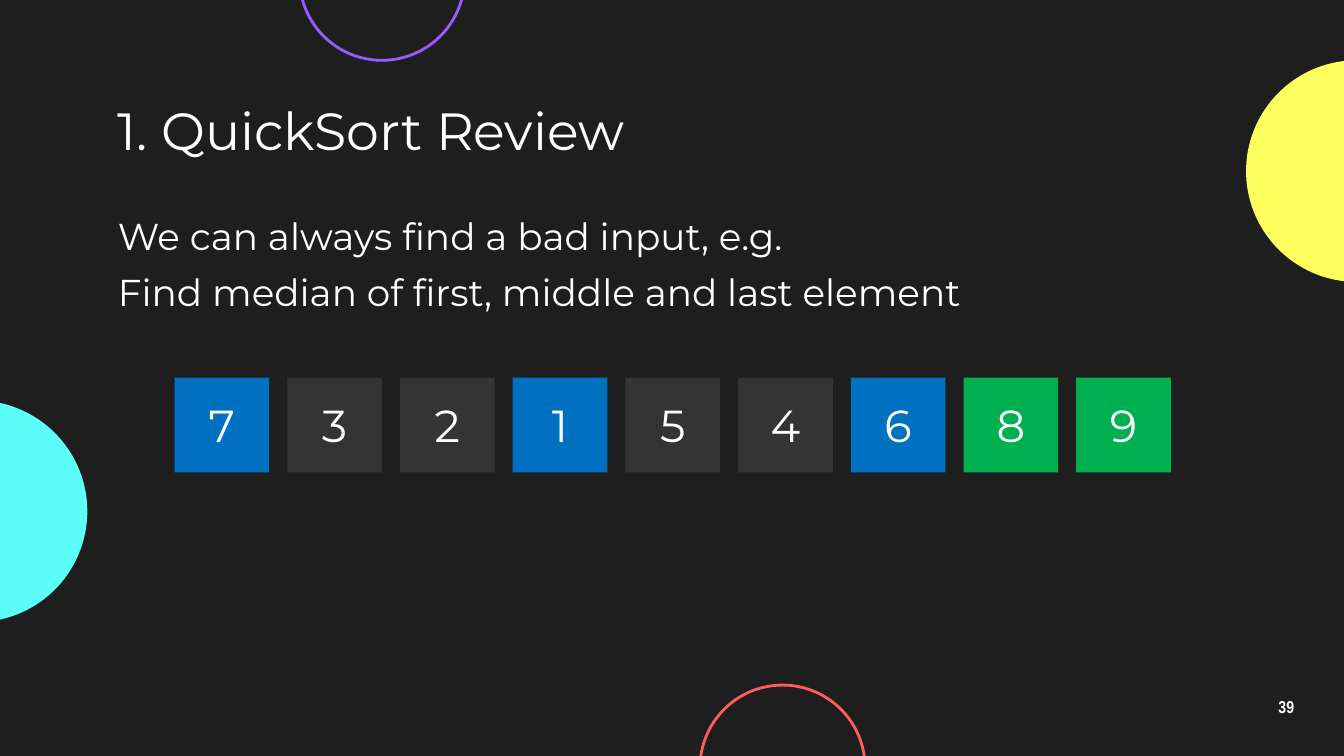
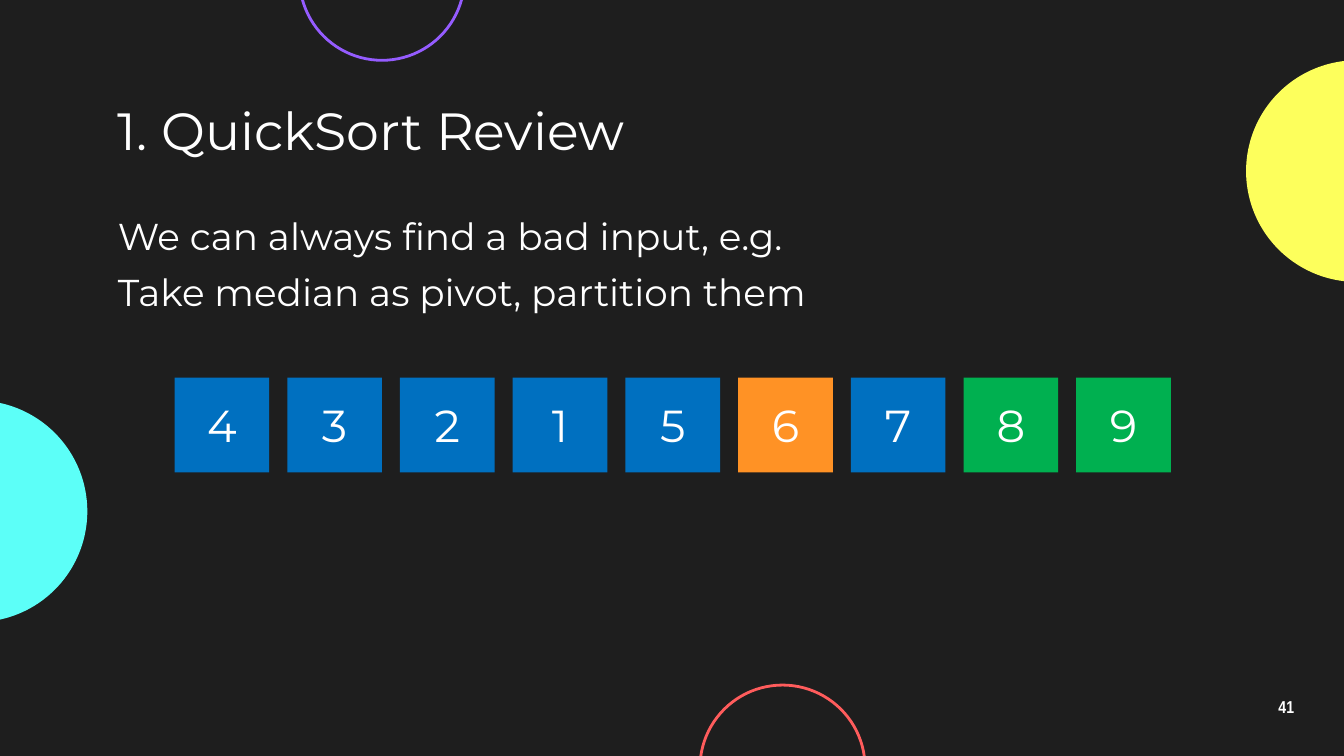
from pptx import Presentation
from pptx.dml.color import RGBColor
from pptx.enum.shapes import MSO_SHAPE as Shape
from pptx.enum.text import MSO_ANCHOR as Anchor, PP_ALIGN as Align
from pptx.util import Cm, Pt

BACKGROUND, WHITE = "1E1E1E", "FFFFFF"
GREY, BLUE, GREEN, ORANGE = "343434", "0070C0", "00B050", "FF9225"
FONT, NUMBER_FONT = "Montserrat", "Arial Narrow"

TITLE = "1. QuickSort Review"
INTRO = "We can always find a bad input, e.g."
STEPS = [
    {
        "page": 39,
        "action": "Find median of first, middle and last element",
        "values": [7, 3, 2, 1, 5, 4, 6, 8, 9],
        "colors": [BLUE, GREY, GREY, BLUE, GREY, GREY, BLUE, GREEN, GREEN],
    },
    {
        "page": 41,
        "action": "Take median as pivot, partition them",
        "values": [4, 3, 2, 1, 5, 6, 7, 8, 9],
        "colors": [BLUE] * 5 + [ORANGE, BLUE, GREEN, GREEN],
    },
]

# left, top, diameter in cm, fill, outline
CIRCLES = [
    (-2.54, 7.57, 4.19, "5CFFF8", None),
    (23.55, 1.14, 4.19, "FDFF5C", None),
    (5.66, -1.98, 3.12, None, "955CFF"),
    (13.23, 12.95, 3.12, None, "FF5C5C"),
]

MARGIN = 1.98
LINE_HEIGHT = 1.3
TILE_LEFT, TILE_TOP, TILE_SIZE, TILE_PITCH = 3.3, 7.14, 1.79, 2.13


def color(value):
    return RGBColor.from_string(value)


def write(target, text, size=20, font=FONT, bold=False, align=Align.LEFT,
          anchor=Anchor.TOP, spacing=1.0, inset=0.25):
    frame = target.text_frame
    frame.word_wrap = True
    frame.vertical_anchor = anchor
    frame.margin_left = frame.margin_right = Cm(inset)
    frame.margin_top = frame.margin_bottom = Cm(inset)
    paragraph = frame.paragraphs[0]
    paragraph.alignment = align
    paragraph.line_spacing = spacing
    run = paragraph.add_run()
    run.text = text
    run.font.name, run.font.size, run.font.bold = font, Pt(size), bold
    run.font.color.rgb = color(WHITE)


def add_text(slide, text, left, top, width, height=LINE_HEIGHT, **style):
    box = slide.shapes.add_textbox(Cm(left), Cm(top), Cm(width), Cm(height))
    write(box, text, **style)


def add_figure(slide, kind, left, top, size, fill=None, outline=None):
    """Add a preset shape that is as wide as it is high."""
    figure = slide.shapes.add_shape(kind, Cm(left), Cm(top), Cm(size), Cm(size))
    figure.shadow.inherit = False
    if fill:
        figure.fill.solid()
        figure.fill.fore_color.rgb = color(fill)
    else:
        figure.fill.background()
    if outline:
        figure.line.color.rgb = color(outline)
        figure.line.width = Pt(1.5)
    else:
        figure.line.fill.background()
    return figure


def add_frame(slide, page):
    """Add the background, circles, page number and title of every slide."""
    slide.background.fill.solid()
    slide.background.fill.fore_color.rgb = color(BACKGROUND)
    for left, top, diameter, fill, outline in CIRCLES:
        add_figure(slide, Shape.OVAL, left, top, diameter, fill, outline)
    add_text(slide, str(page), 23.55, 12.95, 1.52, 0.86, size=9.2,
             font=NUMBER_FONT, bold=True, align=Align.CENTER,
             anchor=Anchor.MIDDLE, spacing=0.9)
    add_text(slide, TITLE, MARGIN, 1.8, 21.44, size=28, anchor=Anchor.MIDDLE)


def add_tiles(slide, values, colors):
    for index, (value, fill) in enumerate(zip(values, colors)):
        tile = add_figure(slide, Shape.RECTANGLE, TILE_LEFT + index * TILE_PITCH,
                          TILE_TOP, TILE_SIZE, fill)
        write(tile, str(value), size=24, align=Align.CENTER,
              anchor=Anchor.MIDDLE, inset=0.13)


def main():
    deck = Presentation()
    deck.slide_width, deck.slide_height = Cm(25.4), Cm(14.29)
    for step in STEPS:
        slide = deck.slides.add_slide(deck.slide_layouts[6])
        add_frame(slide, step["page"])
        add_text(slide, INTRO, MARGIN, 3.78, 19.74)
        add_text(slide, step["action"], MARGIN, 4.83, 19.74)
        add_tiles(slide, step["values"], step["colors"])
    deck.save("out.pptx")


if __name__ == "__main__":
    main()
